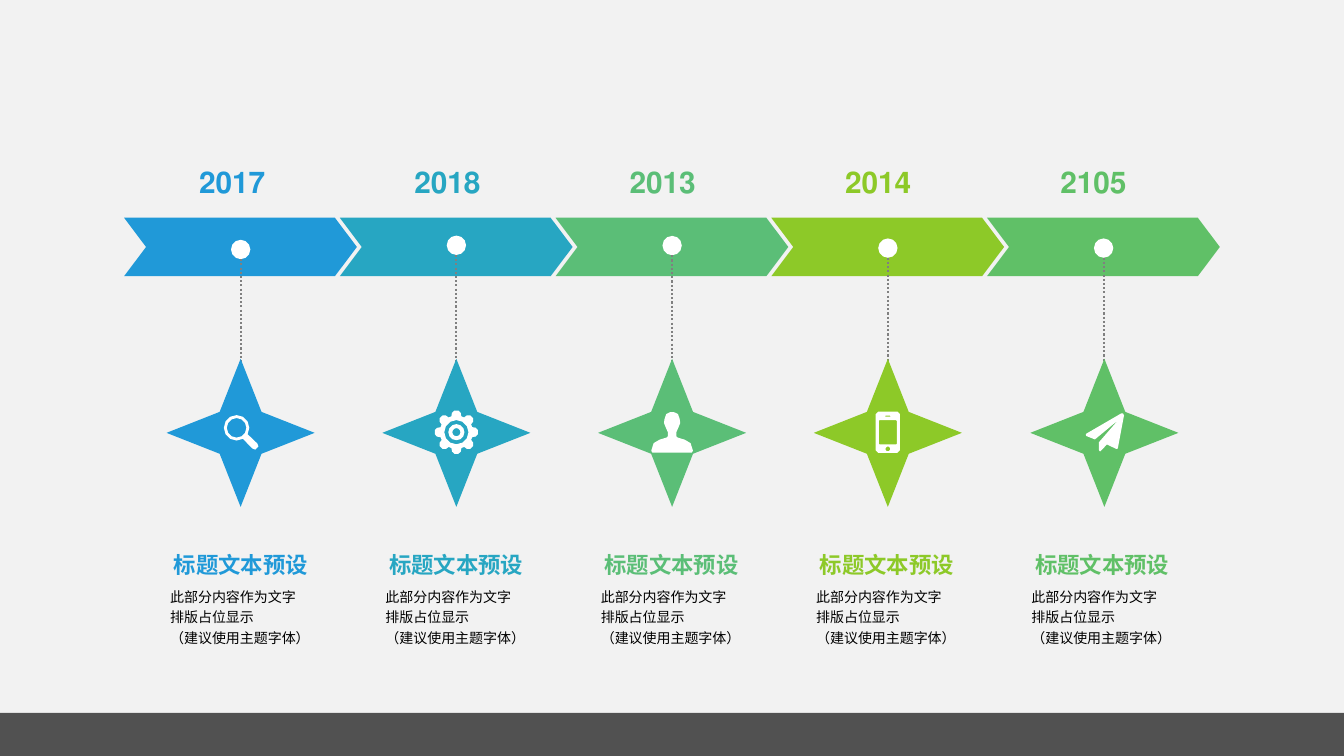
"""Build a five-step arrow timeline slide with star icons and captions."""
from dataclasses import dataclass
from math import cos, pi, radians, sin

from lxml import etree
from pptx import Presentation
from pptx.dml.color import RGBColor
from pptx.enum.dml import MSO_LINE
from pptx.enum.shapes import MSO_CONNECTOR, MSO_SHAPE
from pptx.enum.text import MSO_ANCHOR, PP_ALIGN
from pptx.oxml.ns import qn
from pptx.util import Pt

ARROW = MSO_SHAPE.NOTCHED_RIGHT_ARROW
STAR = MSO_SHAPE.STAR_4_POINT
OVAL = MSO_SHAPE.OVAL
RECTANGLE = MSO_SHAPE.RECTANGLE
STRAIGHT = MSO_CONNECTOR.STRAIGHT
DOTTED = MSO_LINE.ROUND_DOT
MIDDLE = MSO_ANCHOR.MIDDLE
TOP = MSO_ANCHOR.TOP
LEFT = PP_ALIGN.LEFT
CENTER = PP_ALIGN.CENTER

COLORS = {
    "background": "F2F2F2", "footer": "0D0D0D", "white": "FFFFFF",
    "black": "000000", "gray": "808080", "blue": "2099D8",
    "teal": "27A6C2", "green": "5BBE77", "lime": "8DC928", "leaf": "60C067",
}
FONT = "Calibri"
TITLE = "标题文本预设"
BODY = "此部分内容作为文字\n排版占位显示 \n（建议使用主题字体）"
SHAPE_PITCH = 154.1
TEXT_PITCH = 153.8
CENTER_X = 171.9
STAR_Y = 309.2
STAR_SIZE = 105.8
DOT_SIZE = 13.8

Point = tuple[float, float]
Contour = list[Point]


@dataclass
class Step:
    year: str
    color: str
    dot_y: float
    icon: list[Contour]
    star_shift: float = 0


@dataclass
class Label:
    left: float
    top: float
    width: float
    height: float
    size: float
    color: str
    bold: bool = True
    wrap: bool = False
    anchor: MSO_ANCHOR = MIDDLE
    align: PP_ALIGN = CENTER
    spacing: float = 1.0


def arc(x: float, y: float, radius: float, start: int = 0, end: int = 330) -> Contour:
    return [(x + radius * cos(radians(angle)), y + radius * sin(radians(angle)))
            for angle in range(start, end + 1, 30)]


def box_outline(y: float, width: float, height: float, cut: float) -> Contour:
    x, half = width / 2, height / 2
    return [(x, y + half - cut), (x - cut, y + half), (cut - x, y + half),
            (-x, y + half - cut), (-x, y - half + cut), (cut - x, y - half),
            (x - cut, y - half), (x, y - half + cut)]


def magnifier() -> list[Contour]:
    handle = [(11.9, 7.6), (12.7, 9.7), (10.5, 12), (8.3, 11.1)]
    return [arc(-2.9, -3.6, 9.1, 60, 390) + handle, arc(-2.9, -3.6, 7)]


def gear() -> list[Contour]:
    radii = (15.5, 14.2, 11.9, 11.9, 14.2, 15.5)
    offsets = (0.09, 0.22, 0.3, 0.48, 0.56, 0.69)
    rim = []
    for tooth in range(8):
        for radius, offset in zip(radii, offsets):
            angle = tooth * pi / 4 + offset
            rim.append((radius * cos(angle), radius * sin(angle) - 0.5))
    return [rim] + [arc(0, -0.5, radius) for radius in (8.64, 5.76, 2.88)]


def person() -> list[Contour]:
    half = [(1.5, -14.7), (4.2, -13.4), (5.4, -10), (5.8, -7), (4.6, -4),
            (3, -0.4), (3, 2.5), (4, 3.4), (9, 4.9), (13.2, 7.4), (14.9, 12.8), (14, 14.2)]
    return [half + [(-x, y) for x, y in reversed(half)]]


def phone() -> list[Contour]:
    return [box_outline(-0.5, 17.3, 29.5, 1.8), box_outline(-0.4, 12.9, 17.3, 0.5),
            box_outline(-11.9, 3.8, 0.7, 0.2), box_outline(11.5, 3.2, 3.2, 0.9)]


def plane() -> list[Contour]:
    return [[(14, -12.6), (9.7, 10.4), (9.3, 11.4), (8.3, 11.4), (1.8, 8.3),
             (-2.5, 12.8), (-3.2, 13.3), (-4, 12.2), (-4, 6.8), (9.7, -9),
             (-6.8, 4.7), (-13, 2.2), (-13.3, 1.3), (-13, 0.6), (12, -13.9), (13.2, -14)]]


STEPS = [
    Step("2017", "blue", 178.2, magnifier()),
    Step("2018", "teal", 175.2, gear()),
    Step("2013", "green", 175.4, person()),
    Step("2014", "lime", 177.2, phone()),
    Step("2105", "leaf", 177.2, plane(), 0.6),
]


def paint(shape, color: str) -> None:
    shape.shadow.inherit = False
    shape.fill.solid()
    shape.fill.fore_color.rgb = RGBColor.from_string(COLORS[color])
    shape.line.fill.background()


def add_shape(slide, kind: MSO_SHAPE, box: tuple, color: str, adjustments: tuple = ()):
    shape = slide.shapes.add_shape(kind, *map(Pt, box))
    for index, value in enumerate(adjustments):
        shape.adjustments[index] = value
    paint(shape, color)
    return shape


def add_icon(slide, contours: list[Contour], x: float) -> None:
    placed = [[(Pt(x + dx), Pt(STAR_Y + dy)) for dx, dy in contour] for contour in contours]
    builder = slide.shapes.build_freeform(*placed[0][0], scale=1.0)
    builder.add_line_segments(placed[0][1:], close=True)
    for contour in placed[1:]:
        builder.move_to(*contour[0])
        builder.add_line_segments(contour[1:], close=True)
    paint(builder.convert_to_shape(), "white")


def add_label(slide, text: str, label: Label):
    box = slide.shapes.add_textbox(
        Pt(label.left), Pt(label.top), Pt(label.width), Pt(label.height))
    frame = box.text_frame
    frame.margin_left = frame.margin_right = frame.margin_top = frame.margin_bottom = 0
    frame.word_wrap = label.wrap
    frame.vertical_anchor = label.anchor
    paragraph = frame.paragraphs[0]
    paragraph.text = text
    paragraph.alignment = label.align
    paragraph.line_spacing = label.spacing
    for run in paragraph.runs:
        run.font.name = FONT
        run.font.size = Pt(label.size)
        run.font.bold = label.bold
        run.font.color.rgb = RGBColor.from_string(COLORS[label.color])
    for line_break in paragraph._p.findall(qn("a:br")):
        etree.SubElement(line_break, qn("a:rPr"), sz=str(int(label.size * 100)))
    return box


def add_dotted_line(slide, x: float, top: float, bottom: float) -> None:
    line = slide.shapes.add_connector(STRAIGHT, Pt(x), Pt(top), Pt(x), Pt(bottom))
    line.line.color.rgb = RGBColor.from_string(COLORS["gray"])
    line.line.width = Pt(1.5)
    line.line.dash_style = DOTTED
    etree.SubElement(line._element.spPr, qn("a:effectLst"))


def add_step(slide, index: int, step: Step) -> None:
    shift, text_shift = index * SHAPE_PITCH, index * TEXT_PITCH
    x, radius, half = CENTER_X + shift, DOT_SIZE / 2, STAR_SIZE / 2
    star_x = x + step.star_shift
    add_shape(slide, ARROW, (88.6 + shift, 155.5, 166.3, 41.8), step.color, (1, 0.376))
    year = add_label(slide, step.year, Label(
        141.7 + text_shift, 117.2, 48.2, 25.9, 21.3, step.color, anchor=TOP))
    year.text_frame.paragraphs[0]._p.get_or_add_pPr().set("rtl", "1")
    add_shape(slide, OVAL, (x - radius, step.dot_y - radius, DOT_SIZE, DOT_SIZE), "white")
    add_dotted_line(slide, star_x, step.dot_y + radius, 268.2)
    add_shape(slide, STAR, (star_x - half, STAR_Y - half, STAR_SIZE, STAR_SIZE),
              step.color, (0.2,))
    add_icon(slide, step.icon, star_x)
    left = 107.7 + text_shift
    add_label(slide, TITLE, Label(left, 389.5, 128.9, 27.4, 16, step.color))
    body = add_label(slide, BODY, Label(left, 416.7, 127.4, 46.1, 10, "black", bold=False,
                                        wrap=True, align=LEFT, spacing=1.2))
    body.text_frame._txBody.bodyPr.set("anchorCtr", "1")


def main() -> None:
    presentation = Presentation()
    presentation.slide_width, presentation.slide_height = Pt(960), Pt(540)
    slide = presentation.slides.add_slide(presentation.slide_layouts[6])
    slide.background.fill.solid()
    slide.background.fill.fore_color.rgb = RGBColor.from_string(COLORS["background"])
    footer = add_shape(slide, RECTANGLE, (0, 509.2, 960, 30.8), "footer")
    color = footer._element.spPr.find(qn("a:solidFill"))[0]
    etree.SubElement(color, qn("a:alpha"), val="70000")
    for index, step in enumerate(STEPS):
        add_step(slide, index, step)
    presentation.save("out.pptx")


if __name__ == "__main__":
    main()
